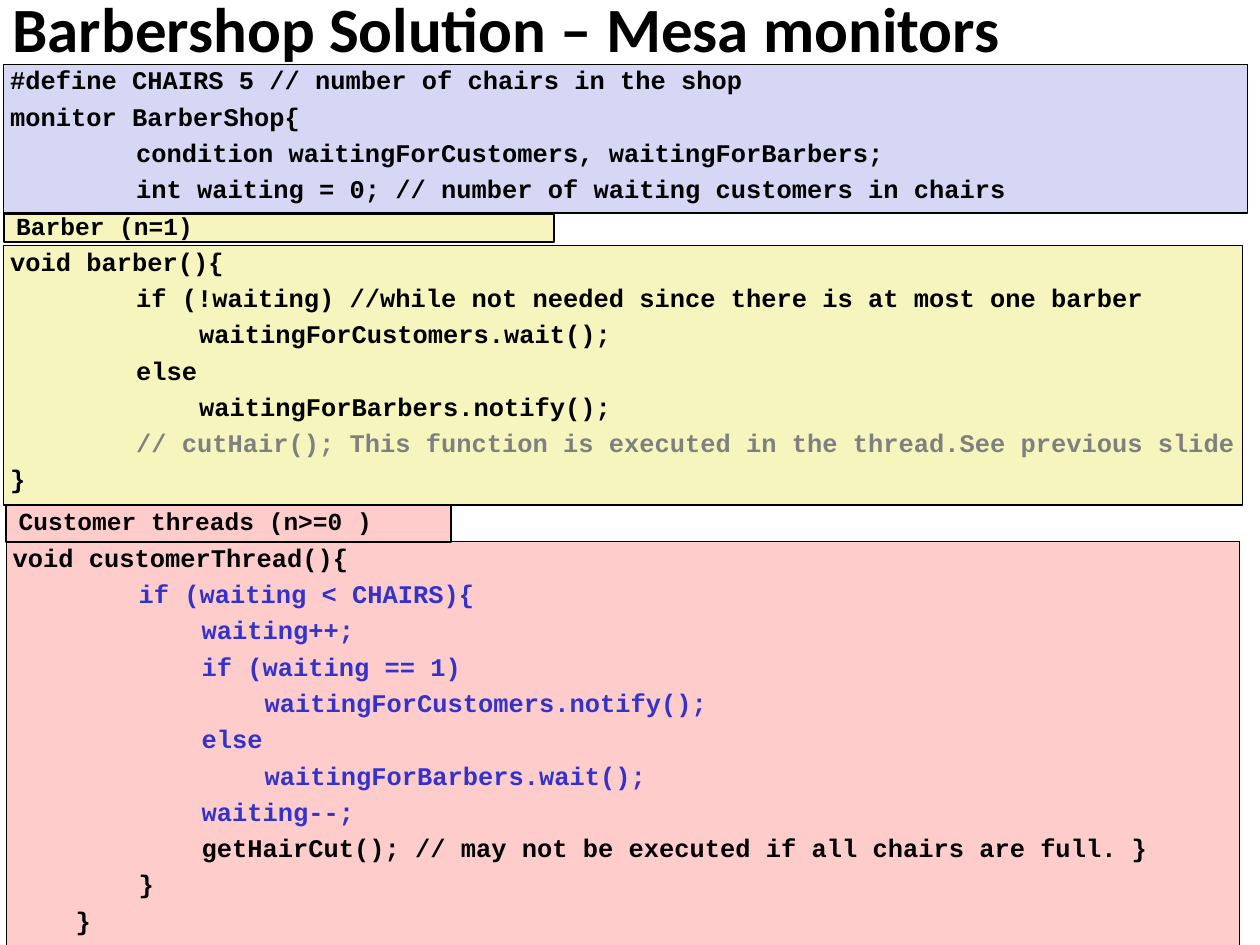
import pptx
import pptx.dml.color
import pptx.enum.shapes
import pptx.enum.text
import pptx.oxml.ns
import pptx.util
from lxml import etree

Pt = pptx.util.Pt
RGBColor = pptx.dml.color.RGBColor
MSO_ANCHOR = pptx.enum.text.MSO_ANCHOR

BLACK = RGBColor(0x00, 0x00, 0x00)
WHITE = RGBColor(0xFF, 0xFF, 0xFF)
GREY = RGBColor(0x80, 0x80, 0x80)
BLUE = RGBColor(0x33, 0x33, 0xCC)
LAVENDER = RGBColor(0xD6, 0xD6, 0xF5)
YELLOW = RGBColor(0xF6, 0xF5, 0xBD)
RED = RGBColor(0xFF, 0x00, 0x00)

TITLE = "Barbershop Solution – Mesa monitors"

# Each code line: tab depth, text, colour
BARBER_CODE = [
    (0, "void barber(){", BLACK),
    (2, "if (!waiting) //while not needed since there is at most one barber", BLACK),
    (3, "waitingForCustomers.wait();", BLACK),
    (2, "else", BLACK),
    (3, "waitingForBarbers.notify();", BLACK),
    (2, "// cutHair(); This function is executed in the thread.See previous slide", GREY),
    (0, "}", BLACK),
]
MONITOR_CODE = [
    (0, "#define CHAIRS 5 // number of chairs in the shop", BLACK),
    (0, "monitor BarberShop{", BLACK),
    (2, "condition waitingForCustomers, waitingForBarbers;", BLACK),
    (2, "int waiting = 0; // number of waiting customers in chairs", BLACK),
]
CUSTOMER_CODE = [
    (0, "void customerThread(){", BLACK),
    (2, "if (waiting < CHAIRS){", BLUE),
    (3, "waiting++;", BLUE),
    (3, "if (waiting == 1)", BLUE),
    (4, "waitingForCustomers.notify();", BLUE),
    (3, "else", BLUE),
    (4, "waitingForBarbers.wait();", BLUE),
    (3, "waiting--;", BLUE),
    (3, "getHairCut(); // may not be executed if all chairs are full. }", BLACK),
    (2, "}", BLACK),
    (1, "}", BLACK),
]
BARBER_LABEL = [(0, "Barber (n=1)", BLACK)]
CUSTOMER_LABEL = [(0, "Customer threads (n>=0 )", BLACK)]

CODE_STYLE = dict(size=14.5, inset=3.6, anchor=MSO_ANCHOR.TOP, line_width=0.75)
LABEL_STYLE = dict(size=14, inset=7.2, anchor=MSO_ANCHOR.MIDDLE, line_width=1)

# Lines, (left, top, width, height), fill, opacity in percent, style
BOXES = [
    (BARBER_CODE, (2.2, 140.4, 707.8, 148.3), YELLOW, 100, CODE_STYLE),
    (BARBER_LABEL, (2.2, 122.4, 314.6, 15.8), YELLOW, 100, LABEL_STYLE),
    (MONITOR_CODE, (2.2, 36.7, 710.6, 85), LAVENDER, 100, CODE_STYLE),
    (CUSTOMER_CODE, (3.6, 309.6, 704.9, 233.3), RED, 20, CODE_STYLE),
    (CUSTOMER_LABEL, (3.6, 288.7, 254.2, 20.9), RED, 20, LABEL_STYLE),
]
TAB_WIDTH = 36


def add_text(paragraph, text, *, font, size, color):
    paragraph.alignment = pptx.enum.text.PP_ALIGN.LEFT
    run = paragraph.add_run()
    run.text = text
    run.font.name = font
    run.font.size = Pt(size)
    run.font.bold = True
    run.font.color.rgb = color


def set_opacity(shape, percent):
    color = shape.fill._xPr.find(".//" + pptx.oxml.ns.qn("a:srgbClr"))
    alpha = etree.SubElement(color, pptx.oxml.ns.qn("a:alpha"))
    alpha.set("val", str(percent * 1000))


def add_code_box(slide, lines, bounds, fill, opacity, *, size, inset, anchor, line_width):
    shape = slide.shapes.add_shape(
        pptx.enum.shapes.MSO_SHAPE.RECTANGLE, *(Pt(length) for length in bounds))
    shape.shadow.inherit = False
    shape.fill.solid()
    shape.fill.fore_color.rgb = fill
    if opacity < 100:
        set_opacity(shape, opacity)
    shape.line.color.rgb = BLACK
    shape.line.width = Pt(line_width)

    frame = shape.text_frame
    frame.word_wrap = True
    frame.vertical_anchor = anchor
    frame.margin_left = frame.margin_right = Pt(inset)
    frame.margin_top = frame.margin_bottom = Pt(3.6)
    for index, (depth, text, color) in enumerate(lines):
        paragraph = frame.add_paragraph() if index else frame.paragraphs[0]
        paragraph.line_spacing = 0.8
        if index:
            paragraph.space_before = Pt(6.8)
        paragraph._p.get_or_add_pPr().set("defTabSz", str(Pt(TAB_WIDTH)))
        add_text(paragraph, "\t" * depth + text, font="Courier New", size=size, color=color)


def add_title(slide):
    title = slide.shapes.title
    title.left, title.top, title.width, title.height = Pt(0), Pt(-14.4), Pt(729.4), Pt(59.8)
    title.fill.solid()
    title.fill.fore_color.rgb = WHITE
    frame = title.text_frame
    frame.auto_size = pptx.enum.text.MSO_AUTO_SIZE.NONE
    frame.vertical_anchor = MSO_ANCHOR.MIDDLE
    add_text(frame.paragraphs[0], TITLE, font="Calibri", size=36, color=BLACK)


def main():
    presentation = pptx.Presentation()
    presentation.slide_width, presentation.slide_height = Pt(720), Pt(540)
    slide = presentation.slides.add_slide(presentation.slide_layouts[5])
    add_title(slide)
    for lines, bounds, fill, opacity, style in BOXES:
        add_code_box(slide, lines, bounds, fill, opacity, **style)
    presentation.save("out.pptx")


if __name__ == "__main__":
    main()
